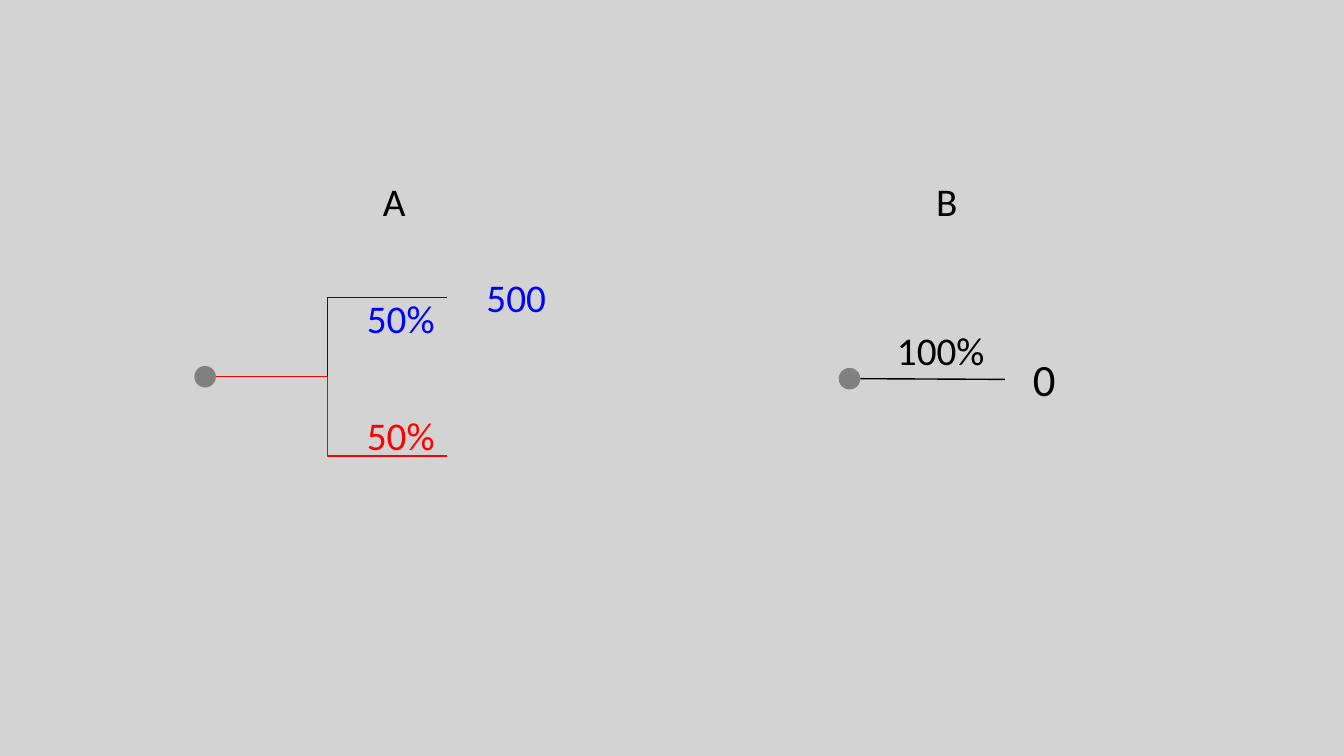
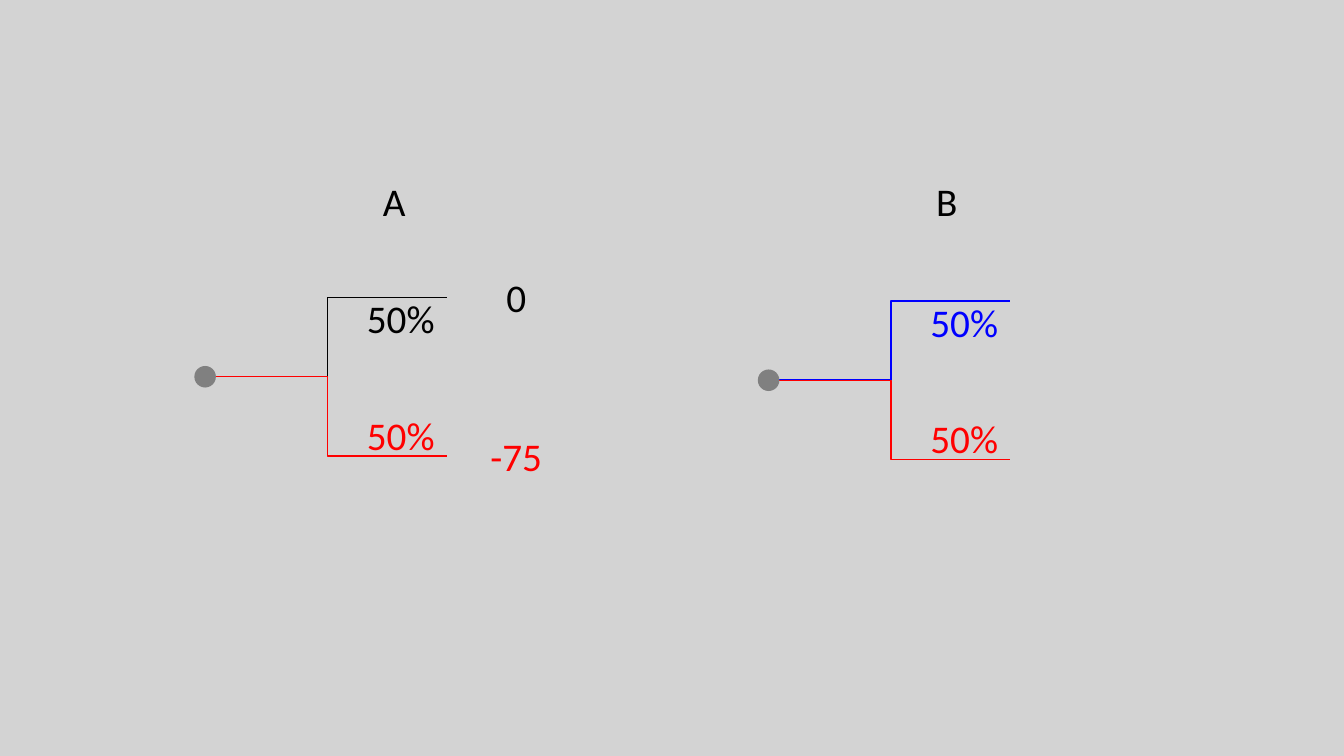
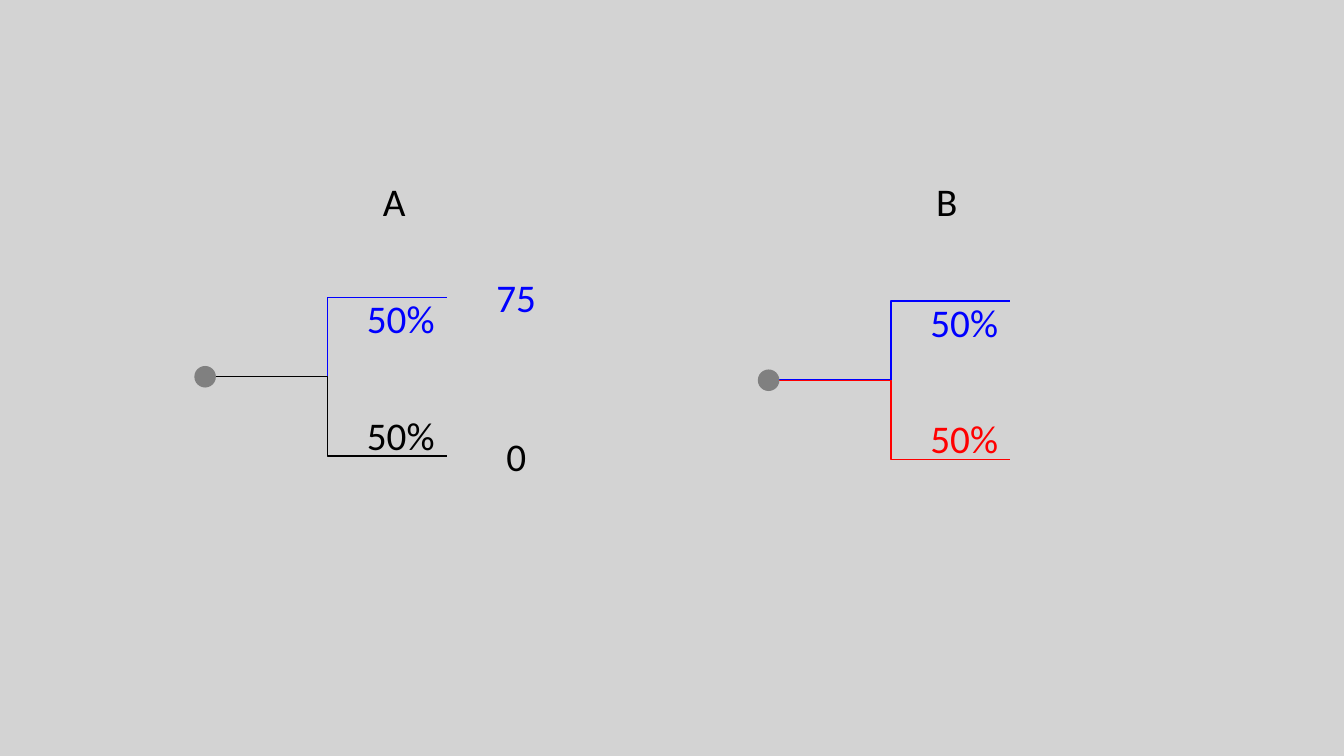
from pptx import Presentation
from pptx.dml.color import RGBColor
from pptx.enum.shapes import MSO_CONNECTOR, MSO_SHAPE
from pptx.enum.text import MSO_AUTO_SIZE, PP_ALIGN
from pptx.oxml.ns import qn
from pptx.util import Pt
from lxml.etree import SubElement

GAIN = RGBColor(0x00, 0x00, 0xFF)
LOSS = RGBColor(0xFF, 0x00, 0x00)
NEUTRAL = RGBColor(0x00, 0x00, 0x00)
GREY = RGBColor(0x80, 0x80, 0x80)
BACKGROUND = RGBColor(0xD3, 0xD3, 0xD3)
FONT = "Calibri"

DOT = 15.4
LABEL_W, LABEL_H = 63.4, 41.2
BRANCH_W, BRANCH_H = 170, 56.5
ROOT_A = (149, 269.1)
ROOT_B = (551.5, 271.6)


def add_slide(prs):
    """Add a grey slide with the headings of options A and B."""
    s = prs.slides.add_slide(prs.slide_layouts[6])
    s.background.fill.solid()
    s.background.fill.fore_color.rgb = BACKGROUND
    for text, x in (("A", 266.5), ("B", 661.6)):
        add_text(s.shapes, text, x, 123.1, 21.6, align=PP_ALIGN.CENTER)
    return s


def add_text(shapes, text, x, y, w, h=LABEL_H, size=28, color=NEUTRAL,
             align=PP_ALIGN.LEFT, wrap=True):
    """Add a one-line text box."""
    tf = shapes.add_textbox(Pt(x), Pt(y), Pt(w), Pt(h)).text_frame
    tf.word_wrap = wrap
    tf.auto_size = MSO_AUTO_SIZE.SHAPE_TO_FIT_TEXT
    p = tf.paragraphs[0]
    p.text = text
    p.alignment = align
    p.font.name = FONT
    p.font.size = Pt(size)
    p.font.color.rgb = color


def add_dot(shapes, cx, cy):
    """Add the grey starting node, centred on a point."""
    sp = shapes.add_shape(MSO_SHAPE.OVAL, Pt(cx - DOT / 2), Pt(cy - DOT / 2),
                          Pt(DOT), Pt(DOT))
    sp.shadow.inherit = False
    sp.fill.solid()
    sp.fill.fore_color.rgb = GREY
    sp.line.fill.background()


def add_line(shapes, kind, x1, y1, x2, y2, color):
    """Add a thin connector without a shadow."""
    line = shapes.add_connector(kind, Pt(x1), Pt(y1), Pt(x2), Pt(y2))
    line.line.color.rgb = color
    line.line.width = Pt(1)
    SubElement(line._element.spPr, qn("a:effectLst"))


def add_gamble(s, root, upper, lower):
    """Add an even gamble; each branch is a (payoff or None, colour) pair."""
    shapes = s.shapes.add_group_shape().shapes
    x, y = root
    branches = ((upper, -BRANCH_H, -62.4), (lower, BRANCH_H, 21.1))
    for (_, color), dy, _ in branches:
        add_line(shapes, MSO_CONNECTOR.ELBOW, x, y, x + BRANCH_W, y + dy, color)
    for (payoff, color), dy, chance_dy in branches:
        add_text(shapes, "50%", x + 106, y + chance_dy, LABEL_W,
                 color=color, wrap=False)
        if payoff is not None:
            add_text(shapes, payoff, x + 188, y + dy - LABEL_H / 2, LABEL_W,
                     color=color, align=PP_ALIGN.CENTER)
    add_dot(shapes, x - 2.5, y)


def add_sure_outcome(s):
    """Add the certain outcome of zero for option B."""
    shapes = s.shapes.add_group_shape().shapes
    add_dot(shapes, 606.8, 270.5)
    add_line(shapes, MSO_CONNECTOR.STRAIGHT, 614.5, 270.5, 717.8, 271, NEUTRAL)
    add_text(shapes, "0", 730.8, 247.7, 33, h=46, size=32)
    add_text(shapes, "100%", 633.6, 229.7, 77.8, wrap=False)


def main():
    """Build the three choice slides."""
    prs = Presentation()
    prs.slide_width, prs.slide_height = Pt(960), Pt(540)

    s = add_slide(prs)
    add_gamble(s, ROOT_A, ("500", GAIN), (None, LOSS))
    add_sure_outcome(s)

    for upper, lower in ((("0", NEUTRAL), ("-75", LOSS)),
                         (("75", GAIN), ("0", NEUTRAL))):
        s = add_slide(prs)
        add_gamble(s, ROOT_A, upper, lower)
        add_gamble(s, ROOT_B, (None, GAIN), (None, LOSS))

    prs.save("out.pptx")


main()
